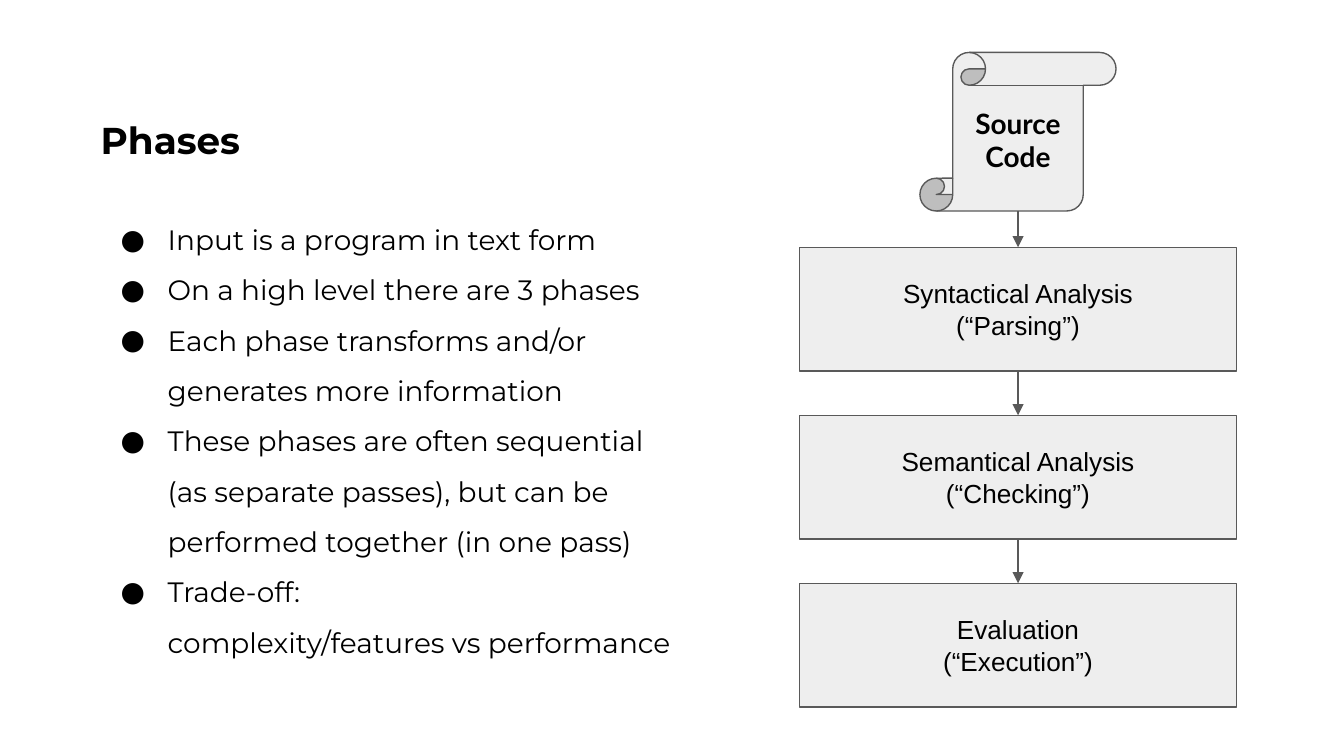
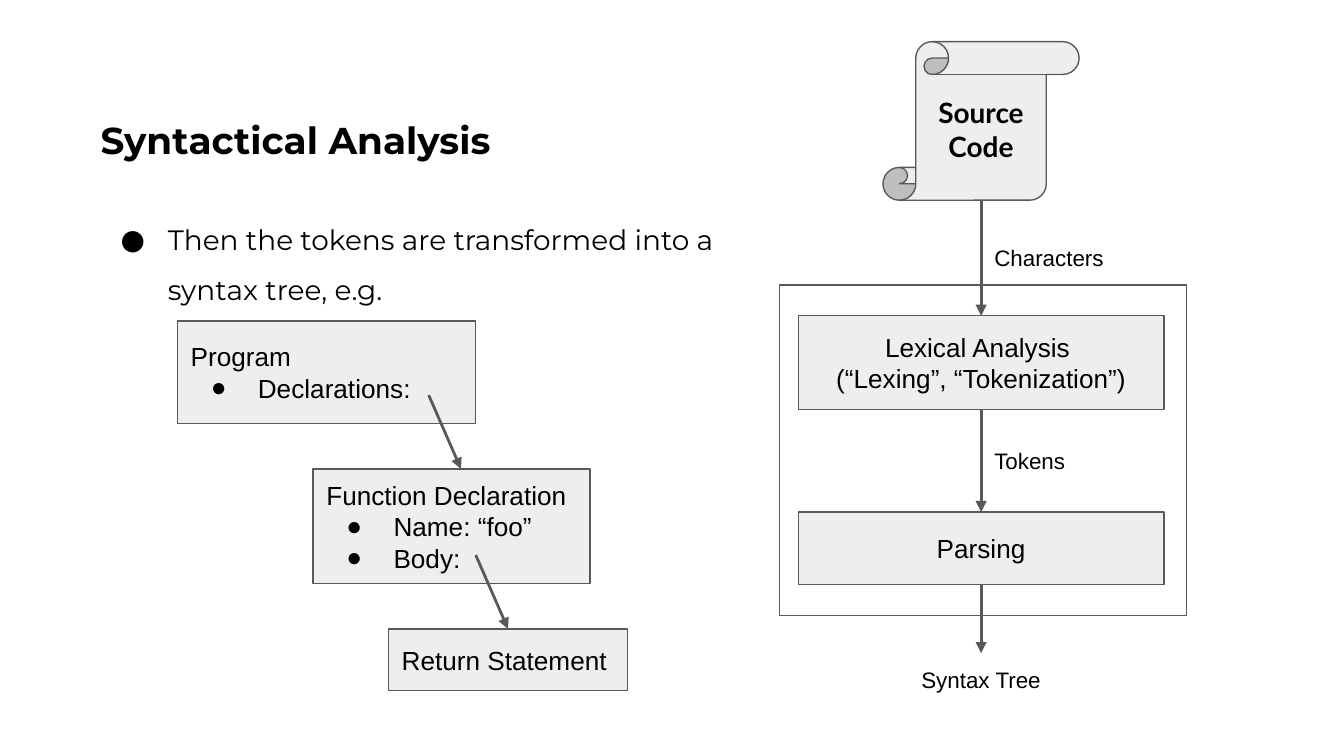
from collections import namedtuple
from lxml import etree
from pptx import Presentation
from pptx.dml.color import RGBColor
from pptx.enum.shapes import MSO_CONNECTOR as Connector, MSO_SHAPE as Shape
from pptx.enum.text import MSO_ANCHOR as Anchor, MSO_AUTO_SIZE as AutoSize, PP_ALIGN as Align
from pptx.oxml.ns import qn
from pptx.util import Inches, Pt

COLORS = {"text": "000000", "line": "595959", "panel": "EEEEEE", "paper": "FFFFFF"}
HEADING, BODY, SCROLL = "Montserrat", "Arial", "Lato"
SCROLL_WIDTH, SCROLL_HEIGHT = 1.46, 1.18

Box = namedtuple("Box", "left top width height")


def color(name):
    """Return a named colour."""
    return RGBColor.from_string(COLORS[name])


def add_bullet(para, font):
    """Give a paragraph a round bullet and a hanging indent."""
    props = para._p.get_or_add_pPr()
    props.set("marL", str(Inches(0.5)))
    props.set("indent", str(Inches(-0.35)))
    tint = etree.SubElement(props, qn("a:buClr"))
    etree.SubElement(tint, qn("a:srgbClr"), val=COLORS["text"])
    etree.SubElement(props, qn("a:buFont"), typeface=font)
    etree.SubElement(props, qn("a:buChar"), char="●")


def write(shape, lines, size, font=BODY, bold=False, align=Align.LEFT,
          anchor=Anchor.TOP, spacing=None, bullets_from=None):
    """Fill a shape with paragraphs, bulleted from the given index on."""
    frame = shape.text_frame
    frame.word_wrap = True
    frame.vertical_anchor = anchor
    frame.margin_left = frame.margin_right = Inches(0.1)
    frame.margin_top = frame.margin_bottom = Inches(0.1)
    for index, line in enumerate(lines):
        para = frame.add_paragraph() if index else frame.paragraphs[0]
        para.text = line
        para.alignment = align
        if spacing:
            para.line_spacing = spacing
        if bullets_from is not None and index >= bullets_from:
            add_bullet(para, font)
        for span in para.runs:
            span.font.name = font
            span.font.size = Pt(size)
            span.font.bold = bold
            span.font.color.rgb = color("text")


def add_text(page, box, lines, size, **style):
    """Add a text box."""
    shape = page.shapes.add_textbox(*map(Inches, box))
    write(shape, lines, size, **style)
    return shape


def add_panel(page, box, lines=(), kind=Shape.RECTANGLE, fill="panel", size=14,
              align=Align.CENTER, **style):
    """Add an outlined shape with vertically centred text."""
    shape = page.shapes.add_shape(kind, *map(Inches, box))
    shape.shadow.inherit = False
    shape.fill.solid()
    shape.fill.fore_color.rgb = color(fill)
    shape.line.color.rgb = color("line")
    shape.line.width = Pt(0.75)
    write(shape, lines, size, align=align, anchor=Anchor.MIDDLE, **style)
    return shape


def add_arrow(page, start, end):
    """Add a straight arrow between two points."""
    arrow = page.shapes.add_connector(Connector.STRAIGHT, *map(Inches, start + end))
    arrow.line.color.rgb = color("line")
    arrow.line.width = Pt(1.5)
    etree.SubElement(arrow.line._get_or_add_ln(), qn("a:tailEnd"), type="triangle")
    etree.SubElement(arrow._element.spPr, qn("a:effectLst"))


def add_scroll(page, center, top):
    """Add the source code scroll and return its bottom edge."""
    box = Box(center - SCROLL_WIDTH / 2, top, SCROLL_WIDTH, SCROLL_HEIGHT)
    scroll = add_panel(page, box, ["Source Code"], kind=Shape.VERTICAL_SCROLL,
                       size=15, font=SCROLL, bold=True)
    scroll.adjustments[0] = 0.207
    return top + SCROLL_HEIGHT


def add_label(page, left, top, text, align=Align.LEFT):
    """Add a small label beside or below an arrow."""
    label = add_text(page, Box(left, top, 1.2, 0.4), [text], 12, align=align)
    label.text_frame.auto_size = AutoSize.SHAPE_TO_FIT_TEXT


def add_page(deck, title, bullets, body_box):
    """Add a page with its title and bulleted body."""
    page = deck.slides.add_slide(deck.slide_layouts[6])
    page.background.fill.solid()
    page.background.fill.fore_color.rgb = color("paper")
    heading = add_text(page, Box(0.65, 0.77, 4.82, 0.54), [title], 20, font=HEADING, bold=True)
    heading.text_frame.paragraphs[0].space_after = Pt(10)
    add_text(page, body_box, bullets, 15, font=HEADING, spacing=1.5, bullets_from=0)
    return page


def add_phase_flow(page, box):
    """Draw the scroll and the three phases below it."""
    phases = [
        ["Syntactical Analysis", "(“Parsing”)"],
        ["Semantical Analysis", "(“Checking”)"],
        ["Evaluation\n(“Execution”)"],
    ]
    height, pitch = 0.92, 1.25
    center = box.left + box.width / 2
    first = box.top + box.height - height - pitch * (len(phases) - 1)
    bottom = add_scroll(page, center, box.top)
    for index, lines in enumerate(phases):
        top = first + index * pitch
        add_panel(page, Box(box.left, top, box.width, height), lines)
        add_arrow(page, (center, bottom), (center, top))
        bottom = top + height


def add_syntax_flow(page, box):
    """Draw the steps from source code to syntax tree."""
    center = box.left + 1.5
    step_left, step_width = center - 1.36, 2.72
    lexing = Box(step_left, box.top + 2.04, step_width, 0.7)
    parsing = Box(step_left, box.top + 3.5, step_width, 0.54)
    end = box.top + 4.55
    add_panel(page, Box(box.left, box.top + 1.81, box.width, 2.46), fill="paper")
    bottom = add_scroll(page, center, box.top)
    add_panel(page, lexing, ["Lexical Analysis \n(“Lexing”, “Tokenization”)"])
    add_panel(page, parsing, ["Parsing"])
    stops = [(bottom, lexing.top), (lexing.top + lexing.height, parsing.top),
             (parsing.top + parsing.height, end)]
    for start, stop in stops:
        add_arrow(page, (center, start), (center, stop))
    add_label(page, center, box.top + 1.41, "Characters")
    add_label(page, center, box.top + 2.92, "Tokens")
    add_label(page, center - 0.6, end, "Syntax Tree", Align.CENTER)


def add_tree(page, box):
    """Draw the example syntax tree as stepped nodes."""
    nodes = [
        (Box(0, 0, 2.22, 0.76), ["Program", "Declarations:"]),
        (Box(1.01, 1.1, 2.06, 0.85), ["Function Declaration", "Name: “foo”", "Body:"]),
        (Box(1.57, 2.29, 1.78, 0.46), ["Return Statement"]),
    ]
    for node, lines in nodes:
        place = node._replace(left=box.left + node.left, top=box.top + node.top)
        add_panel(page, place, lines, align=Align.LEFT, bullets_from=1)
    for across, child in ((1.87, nodes[1][0]), (2.22, nodes[2][0])):
        x, y = box.left + across, box.top + child.top
        add_arrow(page, (x, y - 0.55), (x + 0.24, y))


def build_phases(deck):
    """Build the page on the phases."""
    bullets = [
        "Input is a program in text form",
        "On a high level there are 3 phases",
        "Each phase transforms and/or generates more information",
        "These phases are often sequential (as separate passes), "
        "but can be performed together (in one pass)",
        "Trade-off: \ncomplexity/features vs performance",
    ]
    page = add_page(deck, "Phases", bullets, Box(0.65, 1.43, 4.54, 3.75))
    add_phase_flow(page, Box(5.95, 0.39, 3.25, 4.87))


def build_syntactical_analysis(deck):
    """Build the page on syntactical analysis."""
    bullets = ["Then the tokens are transformed into a syntax tree, e.g."]
    page = add_page(deck, "Syntactical Analysis", bullets, Box(0.65, 1.43, 5.01, 3.75))
    add_syntax_flow(page, Box(5.8, 0.31, 3.03, 4.95))
    add_tree(page, Box(1.32, 2.39, 3.35, 2.75))


def main():
    """Build and save the deck."""
    deck = Presentation()
    deck.slide_width = Inches(10)
    deck.slide_height = deck.slide_width * 9 // 16
    build_phases(deck)
    build_syntactical_analysis(deck)
    deck.save("out.pptx")


if __name__ == "__main__":
    main()
